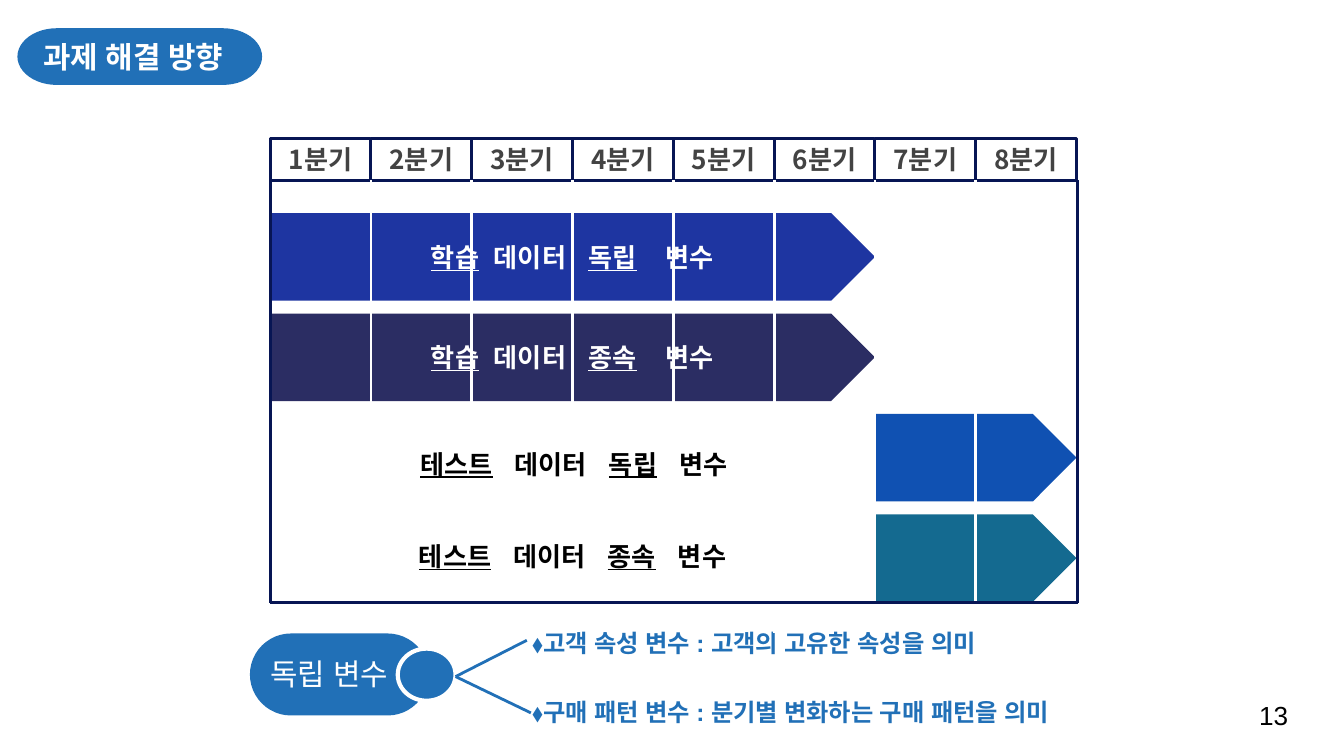
from lxml.etree import SubElement
from pptx import Presentation
from pptx.dml.color import RGBColor
from pptx.enum.shapes import MSO_CONNECTOR, MSO_SHAPE
from pptx.enum.text import MSO_ANCHOR, MSO_AUTO_SIZE, PP_ALIGN
from pptx.oxml.ns import qn
from pptx.util import Inches, Pt

WHITE = RGBColor(0xFF, 0xFF, 0xFF)
BLACK = RGBColor(0, 0, 0)
GRAY = RGBColor(0x43, 0x43, 0x43)
NAVY = RGBColor(0x07, 0x15, 0x54)
BLUE = RGBColor(0x21, 0x70, 0xB7)
ROYAL = RGBColor(0x1E, 0x35, 0xA1)
DUSK = RGBColor(0x2B, 0x2D, 0x63)
COBALT = RGBColor(0x10, 0x51, 0xB2)
TEAL = RGBColor(0x14, 0x6A, 0x90)

NOTO, ARIAL = "Noto Sans CJK KR", "Arial"
WIDE = Inches(10)
HIGH = WIDE * 9 // 16

# Grid in percent of the slide's width (columns) and height (rows)
LEFT, COL, COLS = 20.1, 7.5, 8
HEAD, TOP, END = 18.33, 23.85, 79.7
ROW, PITCH, BAR = 28.2, 13.28, 11.57

# Bar: first column, columns, fill; label: place, ink, words (odd ones underlined)
TRACKS = [
    (0, 6, ROYAL, (29.6, 31.1, 26, 5.7), WHITE, ("학습", "  데이터   ", "독립", "    변수")),
    (0, 6, DUSK, (28.8, 44.3, 27.6, 6), WHITE, ("학습", "  데이터   ", "종속", "    변수")),
    (6, 2, COBALT, (25.5, 58.4, 34.4, 6), BLACK, ("테스트", "   데이터   ", "독립", "   변수")),
    (6, 2, TEAL, (25, 70.6, 35.2, 6), BLACK, ("테스트", "   데이터   ", "종속", "   변수")),
]
NOTES = [
    ((38.6, 81.85, 45.7, 6.4), "⬧고객 속성 변수 : 고객의 고유한 속성을 의미"),
    ((38.6, 90.9, 48.5, 6.4), "⬧구매 패턴 변수 : 분기별 변화하는 구매 패턴을 의미"),
]
MID = {"vertical_anchor": MSO_ANCHOR.MIDDLE, "word_wrap": True,
       "margin_left": Inches(0.1), "margin_right": Inches(0.1),
       "margin_top": Inches(0.1), "margin_bottom": Inches(0.1)}
FLAT = {"vertical_anchor": MSO_ANCHOR.TOP, "word_wrap": True}


def put(item, values):
    """Set every attribute named in a dict."""
    for name, value in values.items():
        setattr(item, name, value)


def box(x, y, w, h):
    """Turn percents of the slide into lengths."""
    return [int(side * part / 100)
            for side, part in zip((WIDE, HIGH, WIDE, HIGH), (x, y, w, h))]


def face(name, size, bold=False):
    """Give the format values of a font."""
    return {"name": name, "size": Pt(size), "bold": bold}


def write(shape, words, font, ink, frame, align=PP_ALIGN.LEFT, marks=False):
    """Write one paragraph of runs, underlining every other one if marked."""
    put(shape.text_frame, frame)
    para = shape.text_frame.paragraphs[0]
    para.alignment = align
    for i, word in enumerate(words):
        run = para.add_run()
        run.text = word
        put(run.font, font)
        run.font.color.rgb = ink
        if marks:
            run.font.underline = i % 2 == 0
        SubElement(run.font._element, qn("a:ea"), typeface=ARIAL)


def form(slide, kind, place, fill=None, line=None, width=1.5):
    """Add a preset shape without a shadow."""
    shape = slide.shapes.add_shape(kind, *box(*place))
    shape.shadow.inherit = False
    if fill is None:
        shape.fill.background()
    else:
        shape.fill.solid()
        shape.fill.fore_color.rgb = fill
    if line is None:
        shape.line.fill.background()
    else:
        shape.line.color.rgb = line
        shape.line.width = Pt(width)
    return shape


def label(slide, place, *text, **style):
    """Add a text box."""
    write(slide.shapes.add_textbox(*box(*place)), *text, **style)


def rule(slide, x, y, right, low, ink):
    """Add a straight line between two points."""
    line = slide.shapes.add_connector(
        MSO_CONNECTOR.STRAIGHT, *box(x, y, right, low))
    line.line.color.rgb = ink
    line.line.width = Pt(1.5)
    SubElement(line._element.spPr, qn("a:effectLst"))


def holder(shape, place, *text):
    """Move a placeholder, drop its bullet and write in it."""
    put(shape, dict(zip(("left", "top", "width", "height"), box(*place))))
    shape.text_frame.auto_size = MSO_AUTO_SIZE.NONE
    write(shape, *text)
    para = shape.text_frame.paragraphs[0]
    put(para, {"space_before": Pt(0), "line_spacing": 1.0})
    props = para._p.get_or_add_pPr()
    props.set("marL", "0")
    props.set("indent", "0")
    SubElement(props, qn("a:buNone"))


def track(slide, row, first, span, fill, place, ink, words):
    """Add a bar that points right, with its label."""
    bar = form(slide, MSO_SHAPE.SNIP_2_SAME_RECTANGLE,
               (LEFT + first * COL, ROW + row * PITCH, span * COL, BAR), fill)
    mid_x, mid_y = bar.left + bar.width // 2, bar.top + bar.height // 2
    wide, high = bar.height, bar.width
    put(bar, {"left": mid_x - wide // 2, "top": mid_y - high // 2,
              "width": wide, "height": high, "rotation": 90})
    bar.adjustments[0], bar.adjustments[1] = 0.5, 0
    label(slide, place, words, face(NOTO, 14, True), ink, FLAT,
          align=PP_ALIGN.CENTER, marks=True)


def title(slide):
    """Set the title on its pill."""
    pill = form(slide, MSO_SHAPE.FLOWCHART_TERMINATOR, (1.3, 3.74, 18.2, 7.5), BLUE)
    head = slide.shapes.title
    head._element.addprevious(pill._element)
    holder(head, (2.2, 4.2, 17.2, 6.6), ["과제 해결 방향"], face(NOTO, 16, True),
           WHITE, {**FLAT, "word_wrap": False})


def plan(slide):
    """Draw the quarters, the bars and the frame."""
    for row, data in enumerate(TRACKS):
        track(slide, row, *data)
    for i in range(COLS):
        cell = form(slide, MSO_SHAPE.RECTANGLE,
                    (LEFT + i * COL, HEAD, COL, TOP - HEAD), line=NAVY)
        write(cell, [f"{i + 1}분기"], face(NOTO, 14, True), GRAY, MID,
              PP_ALIGN.CENTER)
    short = {2: 56.05, 3: 54.8}
    for i in range(1, COLS):
        x = LEFT + i * COL
        rule(slide, x, TOP, x, short.get(i, 83.8), WHITE)
    right = LEFT + COLS * COL + 0.1
    for x in (LEFT, right):
        rule(slide, x, TOP, x, END, NAVY)
    rule(slide, right, END, LEFT, END, NAVY)


def legend(slide):
    """Draw the pill that branches into two notes."""
    for place in ((19.3, 87.2, 13.4, 4.3), (18.6, 83.8, 13.3, 10.85)):
        form(slide, MSO_SHAPE.ROUNDED_RECTANGLE, place, BLUE).adjustments[0] = 0.5
    form(slide, MSO_SHAPE.OVAL, (29.6, 85.8, 4.3, 6.9), BLUE, WHITE, 2.25)
    label(slide, (18.4, 85.9, 12.2, 6.4), ["독립 변수"], face(ARIAL, 16),
          WHITE, MID, align=PP_ALIGN.CENTER)
    for x, y in ((39.2, 84.7), (39.5, 94.3)):
        rule(slide, x, y, 33.9, 89.5, BLUE)
    for body, (place, text) in zip(list(slide.placeholders)[1:], NOTES):
        holder(body, place, [text], face(ARIAL, 13, True), BLUE, MID)


def main():
    """Build the slide and save it."""
    deck = Presentation()
    put(deck, {"slide_width": WIDE, "slide_height": HIGH})
    slide = deck.slides.add_slide(deck.slide_layouts[3])
    title(slide)
    plan(slide)
    legend(slide)
    label(slide, (92.7, 90.75, 6, 7.65), ["13"], face(ARIAL, 14), BLACK, MID)
    deck.save("out.pptx")


main()
